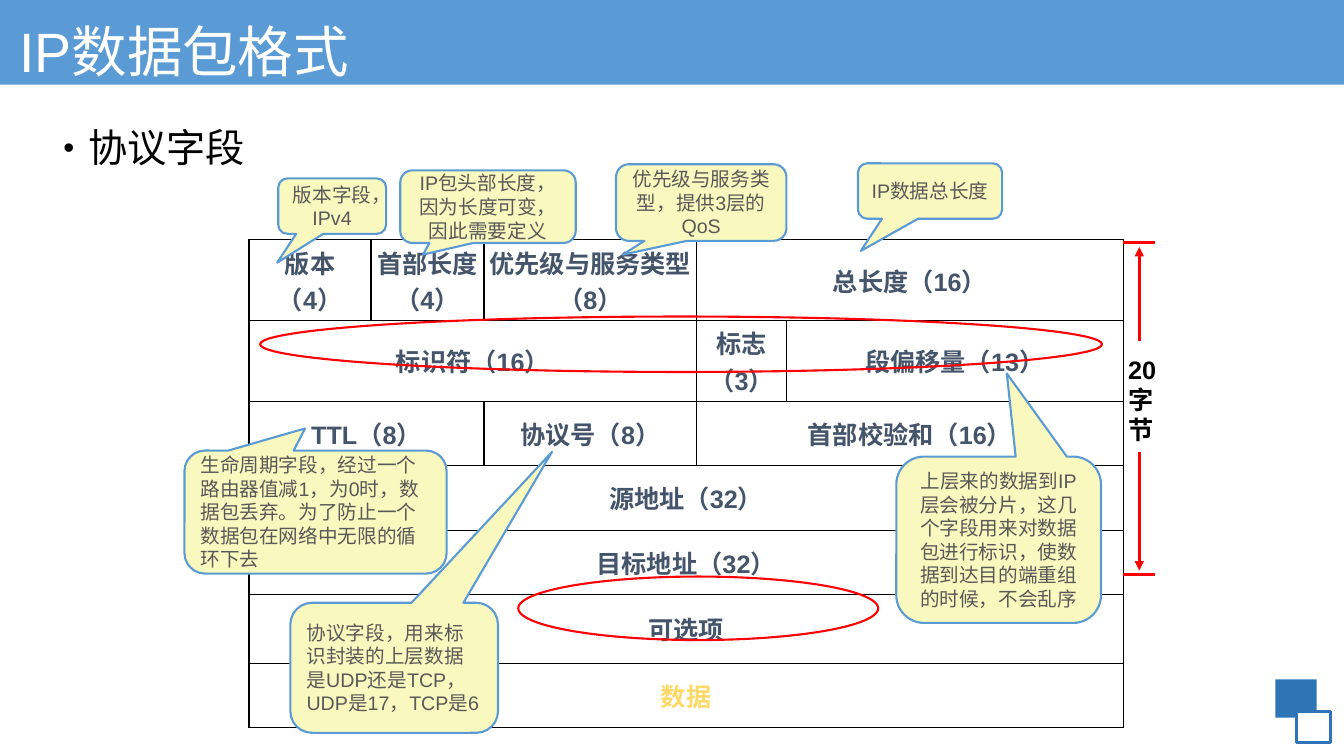
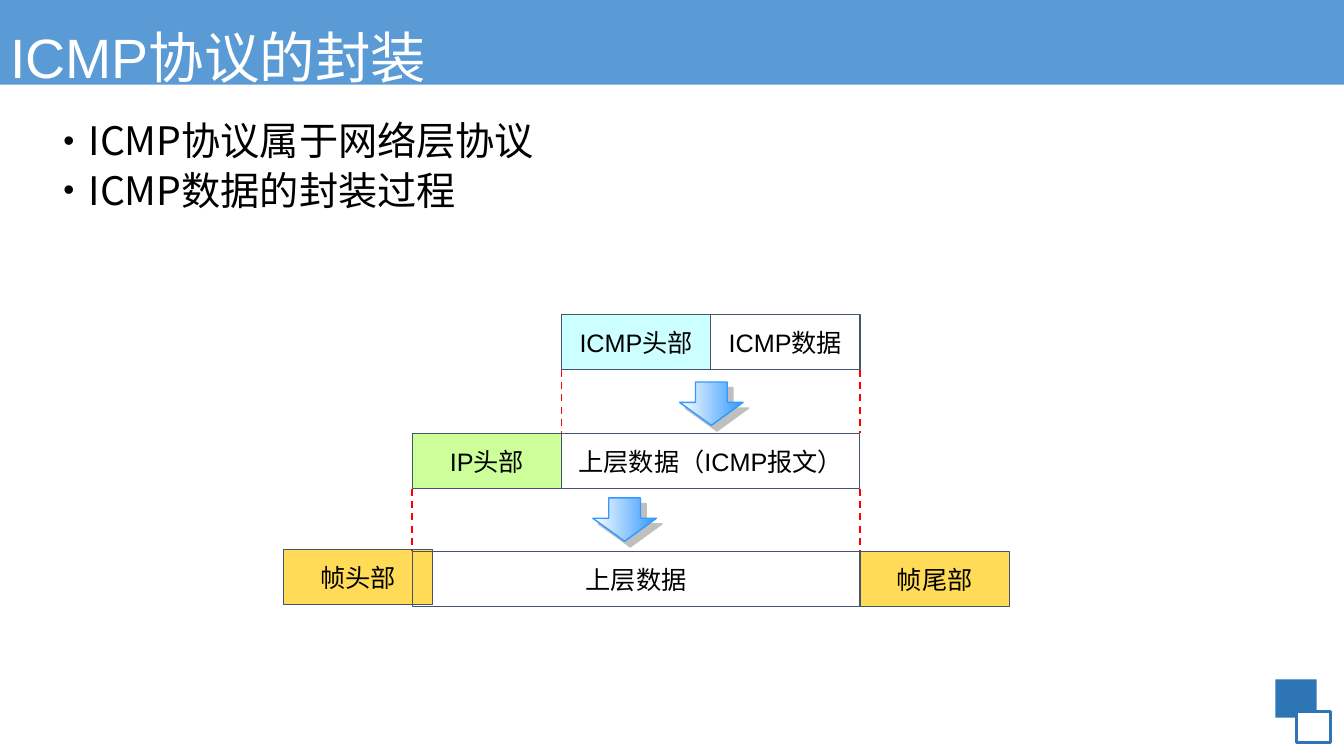
"""Build two slides on the IP packet format and ICMP encapsulation."""
from lxml import etree
from pptx import Presentation
from pptx.dml.color import RGBColor
from pptx.enum.dml import MSO_LINE
from pptx.enum.shapes import MSO_CONNECTOR, MSO_SHAPE
from pptx.enum.text import MSO_ANCHOR, PP_ALIGN
from pptx.oxml import parse_xml
from pptx.oxml.ns import nsdecls, qn
from pptx.util import Inches, Pt

COLORS = {
    "band": "5B9BD5", "square": "2E75B6", "square_edge": "2E74B6",
    "white": "FFFFFF", "black": "000000", "slate": "44546A",
    "payload": "FFD966", "note": "F9F8BE", "note_text": "595959",
    "red": "FF0000", "ip": "CCFF99", "icmp": "CCFFFF", "frame": "FFDB57",
    "arrow": "3399FF", "shadow": "808080",
}
RGB = {name: RGBColor.from_string(value) for name, value in COLORS.items()}
CJK_FONT = "Noto Sans CJK SC"


def write(frame, *lines, size=18, color="black", bold=False, font="Arial", align=PP_ALIGN.LEFT,
          anchor=MSO_ANCHOR.MIDDLE, wrap=True, spacing=None, before=None, bullet=False):
    """Fill a text frame with one paragraph per line."""
    frame.word_wrap = wrap
    frame.vertical_anchor = anchor
    for number, line in enumerate(lines):
        paragraph = frame.add_paragraph() if number else frame.paragraphs[0]
        paragraph.text = line
        paragraph.alignment = align
        paragraph.line_spacing = spacing
        paragraph.space_before = before
        if bullet:
            props = paragraph._p.get_or_add_pPr()
            props.set("marL", str(Inches(0.25)))
            props.set("indent", str(Inches(-0.25)))
            etree.SubElement(props, qn("a:buSzPct")).set("val", "80000")
            etree.SubElement(props, qn("a:buFont")).set("typeface", "Arial")
            etree.SubElement(props, qn("a:buChar")).set("char", "•")
        for run in paragraph.runs:
            run.font.size = Pt(size)
            run.font.bold = bold
            run.font.name = font
            run.font.color.rgb = RGB[color]
            east_asian = etree.SubElement(run.font._element, qn("a:ea"))
            east_asian.set("typeface", CJK_FONT)


def draw(slide, kind, box, fill=None, line=None, weight=1):
    """Add a flat preset shape."""
    shape = slide.shapes.add_shape(kind, *map(Inches, box))
    shape.shadow.inherit = False
    if fill:
        shape.fill.solid()
        shape.fill.fore_color.rgb = RGB[fill]
    else:
        shape.fill.background()
    if line:
        shape.line.color.rgb = RGB[line]
        shape.line.width = Pt(weight)
    else:
        shape.line.fill.background()
    return shape


prs = Presentation()
prs.slide_width, prs.slide_height = Inches(13.33), Inches(7.5)
layout = prs.slide_layouts[5]
for placeholder in list(layout.placeholders)[1:]:
    layout.shapes.element.remove(placeholder.element)

outlines = [
    ("IP数据包格式", (0.09, 0.07), ["协议字段"], 1.23),
    ("ICMP协议的封装", (0, 0.13), ["ICMP协议属于网络层协议", "ICMP数据的封装过程"], 1.16),
]
slides = []
for heading, corner, points, top in outlines:
    slide = prs.slides.add_slide(layout)
    title = slide.shapes.title
    title.left, title.top, title.width, title.height = map(Inches, (*corner, 12.09, 0.72))
    write(title.text_frame, heading, size=39.6, color="white", spacing=1.2)
    outline = slide.shapes.add_textbox(*map(Inches, (0.53, top, 12.44, 1.1)))
    write(outline.text_frame, *points, size=28, font=CJK_FONT, anchor=MSO_ANCHOR.TOP,
          spacing=0.9, before=Pt(5), bullet=True)
    slides.append(slide)
packet, encapsulation = slides

decorations = [
    draw(packet, MSO_SHAPE.RECTANGLE, (0, 0, 13.33, 0.84), "band"),
    draw(packet, MSO_SHAPE.RECTANGLE, (12.65, 6.74, 0.41, 0.38), "square"),
    draw(packet, MSO_SHAPE.RECTANGLE, (12.86, 7.06, 0.34, 0.31), "white", "square_edge", 2),
]
for decoration in decorations:
    layout.shapes.element.append(decoration.element)

header_rows = [
    (0.8, [("版本（4）", 1), ("首部长度（4）", 1), ("优先级与服务类型（8）", 1), ("总长度（16）", 2)]),
    (0.8, [("标识符（16）", 3), ("标志（3）", 1), ("段偏移量（13）", 1)]),
    (0.64, [("TTL（8）", 2), ("协议号（8）", 1), ("首部校验和（16）", 2)]),
    (0.64, [("源地址（32）", 5)]),
    (0.64, [("目标地址（32）", 5)]),
    (0.68, [("可选项", 5)]),
    (0.64, [("数据", 5)]),
]
header_height = sum(height for height, fields in header_rows)
header = packet.shapes.add_table(7, 5, *map(Inches, (2.47, 2.38, 8.67, header_height))).table
header.first_row = header.horz_banding = False
for column, width in zip(header.columns, (1.21, 1.12, 2.11, 0.89, 3.34)):
    column.width = Inches(width)
for cell in header.iter_cells():
    cell.margin_left = cell.margin_right = cell.margin_top = cell.margin_bottom = Inches(0.04)
    for side in "LRTB":
        cell._tc.get_or_add_tcPr().append(parse_xml(
            f'<a:ln{side} {nsdecls("a")} w="12700"><a:solidFill>'
            f'<a:srgbClr val="{COLORS["black"]}"/></a:solidFill></a:ln{side}>'))
    cell.fill.background()
for row, (height, fields) in enumerate(header_rows):
    header.rows[row].height = Inches(height)
    column = 0
    for field, span in fields:
        cell = header.cell(row, column)
        if span > 1:
            cell.merge(header.cell(row, column + span - 1))
        write(cell.text_frame, field, bold=True, align=PP_ALIGN.CENTER, before=Pt(3.6),
              color="payload" if field == "数据" else "slate")
        cell.vertical_anchor = MSO_ANCHOR.MIDDLE
        column += span

for highlight in ((2.58, 3.14, 8.35, 0.55), (5.14, 5.72, 3.57, 0.63)):
    draw(packet, MSO_SHAPE.OVAL, highlight, line="red", weight=1.5)

byte_count = packet.shapes.add_textbox(*map(Inches, (11.09, 3.45, 0.58, 1.01)))
write(byte_count.text_frame, "20\n字\n节", bold=True, anchor=MSO_ANCHOR.BOTTOM)

notes = [
    ("版本字段，IPv4", (2.76, 1.77, 1.07, 0.55), (-0.51, 1.02), PP_ALIGN.CENTER),
    ("优先级与服务类型，提供3层的QoS", (6.11, 1.63, 1.69, 0.76), (-0.46, 0.68), PP_ALIGN.CENTER),
    ("IP包头部长度，因为长度可变，因此需要定义", (3.97, 1.69, 1.74, 0.72), (-0.37, 0.66),
     PP_ALIGN.CENTER),
    ("IP数据总长度", (8.51, 1.62, 1.43, 0.55), (-0.48, 1.08), PP_ALIGN.CENTER),
    ("上层来的数据到IP层会被分片，这几个字段用来对数据包进行标识，使数据到达目的端重组的时候，不会乱序",
     (8.89, 4.53, 2.03, 1.65), (0.04, -1), PP_ALIGN.CENTER),
    ("生命周期字段，经过一个路由器值减1，为0时，数据包丢弃。为了防止一个数据包在网络中无限的循环下去",
     (1.83, 4.47, 2.6, 1.22), (-0.04, -0.68), PP_ALIGN.LEFT),
    ("协议字段，用来标识封装的上层数据是UDP还是TCP，UDP是17，TCP是6",
     (2.88, 5.98, 2.06, 1.29), (0.76, -1.66), PP_ALIGN.LEFT),
]
for text, box, tip, align in notes:
    note = draw(packet, MSO_SHAPE.ROUNDED_RECTANGULAR_CALLOUT, box, "note", "band", 1.5)
    note.adjustments[0], note.adjustments[1] = tip
    write(note.text_frame, text, size=14, color="note_text", align=align)

UNIT, BLOCK_HEIGHT = 1.48, 0.55
ip_left, icmp_left, data_left, right = [4.09 + UNIT * step for step in range(4)]
icmp_top, ip_top, frame_top = 3.12, 4.3, 5.47
blocks = [
    ("IP头部", ip_left, ip_top, 1, "ip"),
    ("上层数据（ICMP报文）", icmp_left, ip_top, 2, None),
    ("ICMP头部", icmp_left, icmp_top, 1, "icmp"),
    ("ICMP数据", data_left, icmp_top, 1, None),
    ("帧头部", 2.81, 5.45, 1, "frame"),
    ("帧尾部", right, frame_top, 1, "frame"),
    ("上层数据", ip_left, frame_top, 3, None),
]
for text, left, top, units, fill in blocks:
    block = draw(encapsulation, MSO_SHAPE.RECTANGLE, (left, top, UNIT * units, BLOCK_HEIGHT),
                 fill, "slate", 0.75)
    write(block.text_frame, text, align=PP_ALIGN.CENTER, wrap=False)

for left, top in ((6.84, 3.69), (5.98, 4.84)):
    step = draw(encapsulation, MSO_SHAPE.RIGHT_ARROW, (left, top, 0.43, 0.63), line="arrow")
    step.rotation = 90
    step.adjustments[0], step.adjustments[1] = 0.5, 0.53
    step.fill.gradient()
    step.fill.gradient_angle = 270
    for stop, color in zip(step.fill.gradient_stops, ("arrow", "white")):
        stop.color.rgb = RGB[color]
    step._element.spPr.find(qn("a:effectLst")).append(parse_xml(
        f'<a:outerShdw {nsdecls("a")} dist="{Pt(5.7)}" dir="2700000" algn="ctr" rotWithShape="0">'
        f'<a:srgbClr val="{COLORS["shadow"]}"><a:alpha val="50000"/></a:srgbClr></a:outerShdw>'))

red_lines = [(packet, 11.14, y, 11.46, y, False) for y in (2.41, 5.7)]
red_lines += [(packet, 11.3, start, 11.3, end, True) for start, end in ((3.38, 2.45), (4.48, 5.66))]
red_lines += [
    (encapsulation, x, top + BLOCK_HEIGHT, x, bottom, False)
    for x, top, bottom in ((icmp_left, icmp_top, ip_top), (right, icmp_top, ip_top),
                           (right, ip_top, frame_top), (ip_left, ip_top, frame_top))
]
for slide, x1, y1, x2, y2, arrowhead in red_lines:
    red_line = slide.shapes.add_connector(MSO_CONNECTOR.STRAIGHT, *map(Inches, (x1, y1, x2, y2)))
    red_line.line.color.rgb = RGB["red"]
    red_line.line.width = Pt(2.25 if slide is packet else 1.25)
    if slide is encapsulation:
        red_line.line.dash_style = MSO_LINE.DASH
    if arrowhead:
        etree.SubElement(red_line.line._get_or_add_ln(), qn("a:tailEnd")).set("type", "triangle")
    etree.SubElement(red_line._element.spPr, qn("a:effectLst"))

prs.save("out.pptx")
